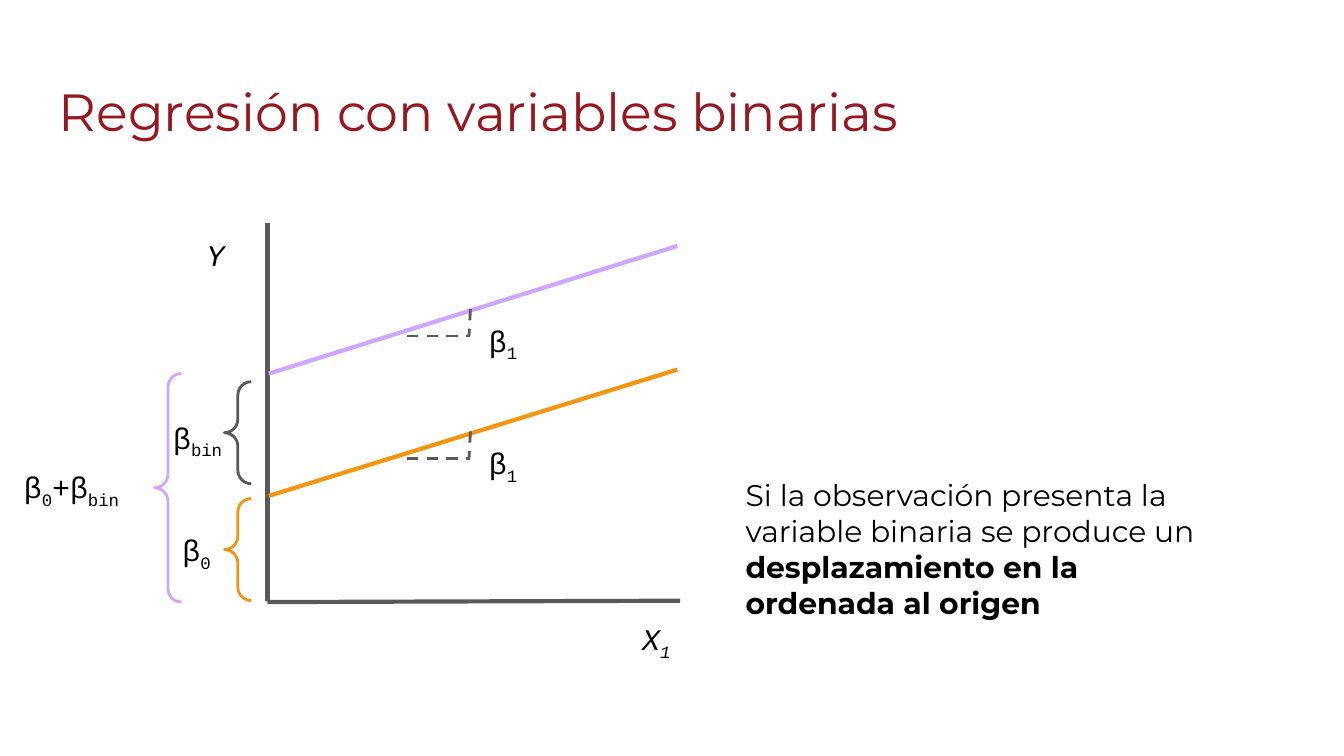
"""Build a slide on regression with binary variables: two parallel lines and their intercepts."""
from dataclasses import dataclass

from pptx import Presentation
from pptx.dml.color import RGBColor
from pptx.enum.dml import MSO_LINE_DASH_STYLE as Dash
from pptx.enum.shapes import MSO_CONNECTOR as Connector, MSO_SHAPE as Preset
from pptx.enum.text import MSO_ANCHOR as Anchor
from pptx.oxml.ns import qn
from pptx.slide import Slide
from pptx.util import Inches, Pt
from lxml.etree import SubElement

GREY, ORANGE, PURPLE, RED, BLACK = "595959", "F59410", "CEA6FF", "97171E", "000000"
MATH_FONT, TEXT_FONT = "Courier New", "Montserrat"


@dataclass(frozen=True)
class Piece:
    text: str
    subscript: bool = False
    bold: bool = False
    italic: bool = False


@dataclass(frozen=True)
class Label:
    left: float
    top: float
    width: float
    height: float
    pieces: tuple[Piece, ...]
    font: str = MATH_FONT
    size: float = 16
    color: str = BLACK


@dataclass(frozen=True)
class Segment:
    start: tuple[float, float]
    end: tuple[float, float]
    color: str = GREY
    weight: float = 2.25
    dashed: bool = False


@dataclass(frozen=True)
class Brace:
    left: float
    top: float
    height: float
    color: str


def rgb(color: str) -> RGBColor:
    return RGBColor.from_string(color)


def draw_label(page: Slide, label: Label) -> None:
    box = page.shapes.add_textbox(
        Inches(label.left), Inches(label.top), Inches(label.width), Inches(label.height))
    frame = box.text_frame
    frame.word_wrap = True
    frame.vertical_anchor = Anchor.TOP
    frame.margin_left = frame.margin_right = Inches(0.1)
    frame.margin_top = frame.margin_bottom = Inches(0.1)
    para = frame.paragraphs[0]
    for piece in label.pieces:
        span = para.add_run()
        span.text = piece.text
        span.font.name = label.font
        span.font.size = Pt(label.size)
        span.font.color.rgb = rgb(label.color)
        span.font.bold = piece.bold
        span.font.italic = piece.italic
        if piece.subscript:
            span.font._element.set("baseline", "-25000")


def draw_segment(page: Slide, segment: Segment) -> None:
    (x1, y1), (x2, y2) = segment.start, segment.end
    connector = page.shapes.add_connector(
        Connector.STRAIGHT, Inches(x1), Inches(y1), Inches(x2), Inches(y2))
    connector.line.color.rgb = rgb(segment.color)
    connector.line.width = Pt(segment.weight)
    if segment.dashed:
        connector.line.dash_style = Dash.DASH
    SubElement(connector._element.spPr, qn("a:effectLst"))


def draw_brace(page: Slide, brace: Brace) -> None:
    shape = page.shapes.add_shape(
        Preset.LEFT_BRACE, Inches(brace.left), Inches(brace.top), Inches(0.2), Inches(brace.height))
    shape.adjustments[0] = shape.adjustments[1] = 0.5
    shape.shadow.inherit = False
    shape.fill.background()
    shape.line.color.rgb = rgb(brace.color)
    shape.line.width = Pt(1.5)


def draw_slope(page: Slide, top: float) -> None:
    base = top + 0.2
    draw_label(page, Label(3.54, top, 0.47, 0.47, (BETA, Piece("1", subscript=True))))
    draw_segment(page, Segment((3.03, base), (3.5, base), weight=1.5, dashed=True))
    draw_segment(page, Segment((3.5, top), (3.49, base), weight=1.5, dashed=True))


BETA = Piece("β")
ZERO = Piece("0", subscript=True)
BINARY = Piece("bin", subscript=True)

SEGMENTS = (
    Segment((1.99, 1.66), (1.99, 4.47)),
    Segment((5.06, 4.47), (1.99, 4.48)),
    Segment((2, 3.69), (5.04, 2.75), ORANGE),
    Segment((2, 2.78), (5.04, 1.83), PURPLE),
)
BRACES = (
    Brace(1.67, 3.71, 0.76, ORANGE),
    Brace(1.15, 2.78, 1.7, PURPLE),
    Brace(1.67, 2.84, 0.76, GREY),
)
TITLE = Label(0.34, 0.49, 9.32, 0.63, (Piece("Regresión con variables binarias"),),
              TEXT_FONT, 28, RED)
LABELS = (
    Label(1.19, 3.02, 0.62, 0.47, (BETA, BINARY)),
    Label(0.08, 3.39, 0.92, 0.47, (BETA, ZERO, Piece("+β"), BINARY)),
    Label(1.26, 3.86, 0.47, 0.47, (BETA, ZERO)),
    Label(1.44, 1.66, 0.37, 0.47, (Piece("Y", italic=True),)),
    Label(4.68, 4.52, 0.47, 0.47,
          (Piece("X", italic=True), Piece("1", subscript=True, italic=True))),
    Label(5.45, 3.45, 3.73, 1.28,
          (Piece("Si la observación presenta la variable binaria se produce un "),
           Piece("desplazamiento en la ordenada al origen", bold=True)), TEXT_FONT),
)


def main() -> None:
    deck = Presentation()
    deck.slide_width = Inches(10)
    deck.slide_height = deck.slide_width * 9 // 16
    page = deck.slides.add_slide(deck.slide_layouts[6])
    draw_label(page, TITLE)
    for segment in SEGMENTS:
        draw_segment(page, segment)
    for brace in BRACES:
        draw_brace(page, brace)
    for label in LABELS:
        draw_label(page, label)
    for top in (2.3, 3.21):
        draw_slope(page, top)
    deck.save("out.pptx")


if __name__ == "__main__":
    main()
